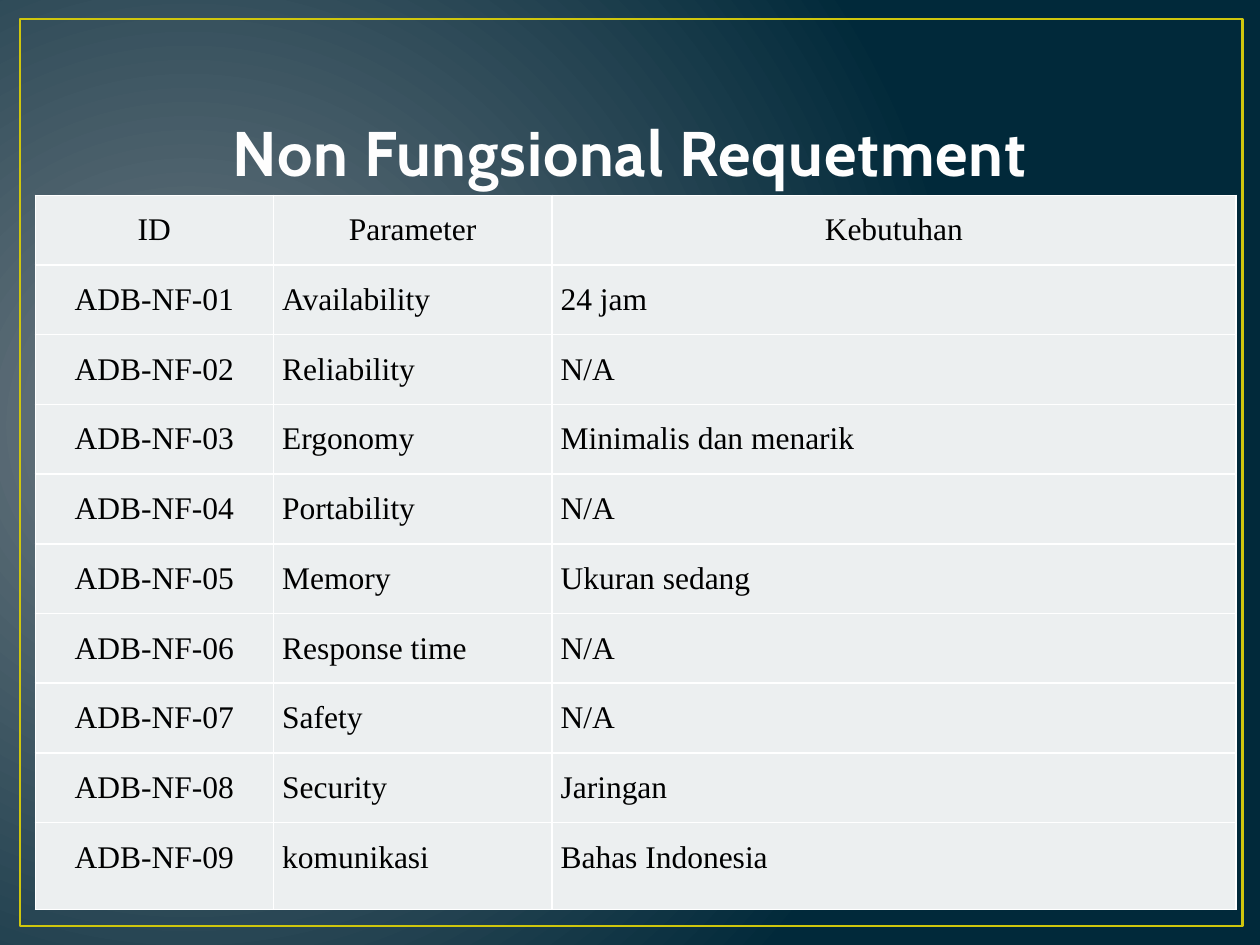
from dataclasses import dataclass

from lxml.etree import SubElement
from pptx import Presentation
from pptx.dml.color import RGBColor
from pptx.enum.shapes import MSO_SHAPE
from pptx.enum.text import MSO_ANCHOR, PP_ALIGN
from pptx.oxml.ns import qn
from pptx.util import Inches, Pt


@dataclass(frozen=True)
class Theme:
    glow: str = "717C84"
    night: str = "01293A"
    frame: str = "CFC60D"
    title: str = "FEFEFE"
    title_outline: str = "384F55"
    cell: str = "ECEFF0"
    border: str = "FFFFFF"
    text: str = "000000"
    title_font: str = "Cabin"
    table_font: str = "Times New Roman"
    title_size: float = 36
    table_size: float = 18
    frame_width: float = 1.5
    border_width: float = 1
    outline_width: float = 1.05


THEME = Theme()
HEADER = ("ID", "Parameter", "Kebutuhan")
REQUIREMENTS = (
    ("Availability", "24 jam"),
    ("Reliability", "N/A"),
    ("Ergonomy", "Minimalis dan menarik"),
    ("Portability", "N/A"),
    ("Memory", "Ukuran sedang"),
    ("Response time", "N/A"),
    ("Safety", "N/A"),
    ("Security", "Jaringan"),
    ("komunikasi", "Bahas Indonesia"),
)


def color(value):
    return RGBColor.from_string(value)


def style_font(font, name, size, value):
    font.name = name
    font.size = Pt(size)
    font.color.rgb = color(value)


def add_solid_line(parent, tag, width, value):
    line = SubElement(parent, qn(tag), w=str(Pt(width)))
    fill = SubElement(line, qn("a:solidFill"))
    SubElement(fill, qn("a:srgbClr"), val=value)
    return line


def paint_background(slide):
    fill = slide.background.fill
    fill.gradient()
    for stop, position, value in zip(fill.gradient_stops, (0, 1), (THEME.glow, THEME.night)):
        stop.position = position
        stop.color.rgb = color(value)
    gradient = slide.element.find(".//" + qn("a:gradFill"))
    gradient.remove(gradient.find(qn("a:lin")))
    circle = SubElement(gradient, qn("a:path"))
    circle.set("path", "circle")
    SubElement(circle, qn("a:fillToRect"), l="15000", t="50000", r="85000", b="60000")


def add_frame(slide, left, top, width, height):
    frame = slide.shapes.add_shape(MSO_SHAPE.RECTANGLE, left, top, width, height)
    frame.shadow.inherit = False
    frame.fill.background()
    frame.line.color.rgb = color(THEME.frame)
    frame.line.width = Pt(THEME.frame_width)


def place_title(slide, left, top, width, height):
    title = slide.shapes.title
    title.left, title.top, title.width, title.height = left, top, width, height
    text_frame = title.text_frame
    text_frame.text = "Non Fungsional Requetment"
    text_frame.vertical_anchor = MSO_ANCHOR.BOTTOM
    paragraph = text_frame.paragraphs[0]
    paragraph.alignment = PP_ALIGN.CENTER
    run = paragraph.runs[0]
    style_font(run.font, THEME.title_font, THEME.title_size, THEME.title)
    run.font.bold = True
    properties = run.font._element
    properties.set("spc", "50")
    outline = add_solid_line(properties, "a:ln", THEME.outline_width, THEME.title_outline)
    properties.insert(0, outline)


def fill_cell(cell, text, alignment):
    cell.margin_left = cell.margin_right = Inches(0.07)
    cell.margin_top = cell.margin_bottom = 0
    cell.text_frame.text = text
    paragraph = cell.text_frame.paragraphs[0]
    paragraph.alignment = alignment
    paragraph.line_spacing = 1.5
    style_font(paragraph.runs[0].font, THEME.table_font, THEME.table_size, THEME.text)
    properties = cell._tc.get_or_add_tcPr()
    for side in ("a:lnL", "a:lnR", "a:lnT", "a:lnB"):
        add_solid_line(properties, side, THEME.border_width, THEME.border)
    cell.fill.solid()
    cell.fill.fore_color.rgb = color(THEME.cell)


def add_requirements_table(slide, left, top, width, height):
    rows = [HEADER]
    for number, requirement in enumerate(REQUIREMENTS, start=1):
        rows.append((f"ADB-NF-{number:02}", *requirement))
    table = slide.shapes.add_table(len(rows), len(HEADER), left, top, width, height).table
    id_width, parameter_width = Inches(1.89), Inches(2.21)
    widths = (id_width, parameter_width, width - id_width - parameter_width)
    for column, column_width in zip(table.columns, widths):
        column.width = column_width
    last_height = Inches(0.69)
    for row in table.rows:
        row.height = (height - last_height) // (len(rows) - 1)
    table.rows[len(rows) - 1].height = last_height
    for row_index, values in enumerate(rows):
        for column_index, text in enumerate(values):
            centered = row_index == 0 or column_index == 0
            alignment = PP_ALIGN.CENTER if centered else PP_ALIGN.LEFT
            fill_cell(table.cell(row_index, column_index), text, alignment)


def main():
    presentation = Presentation()
    presentation.slide_width = Inches(10)
    presentation.slide_height = Inches(7.5)
    slide = presentation.slides.add_slide(presentation.slide_layouts[5])
    paint_background(slide)
    add_frame(slide, Inches(0.16), Inches(0.15), Inches(9.7), Inches(7.2))
    place_title(slide, Inches(0.5), Inches(0.3), Inches(9), Inches(1.25))
    add_requirements_table(slide, Inches(0.28), Inches(1.55), Inches(9.53), Inches(5.67))
    presentation.save("out.pptx")


if __name__ == "__main__":
    main()
